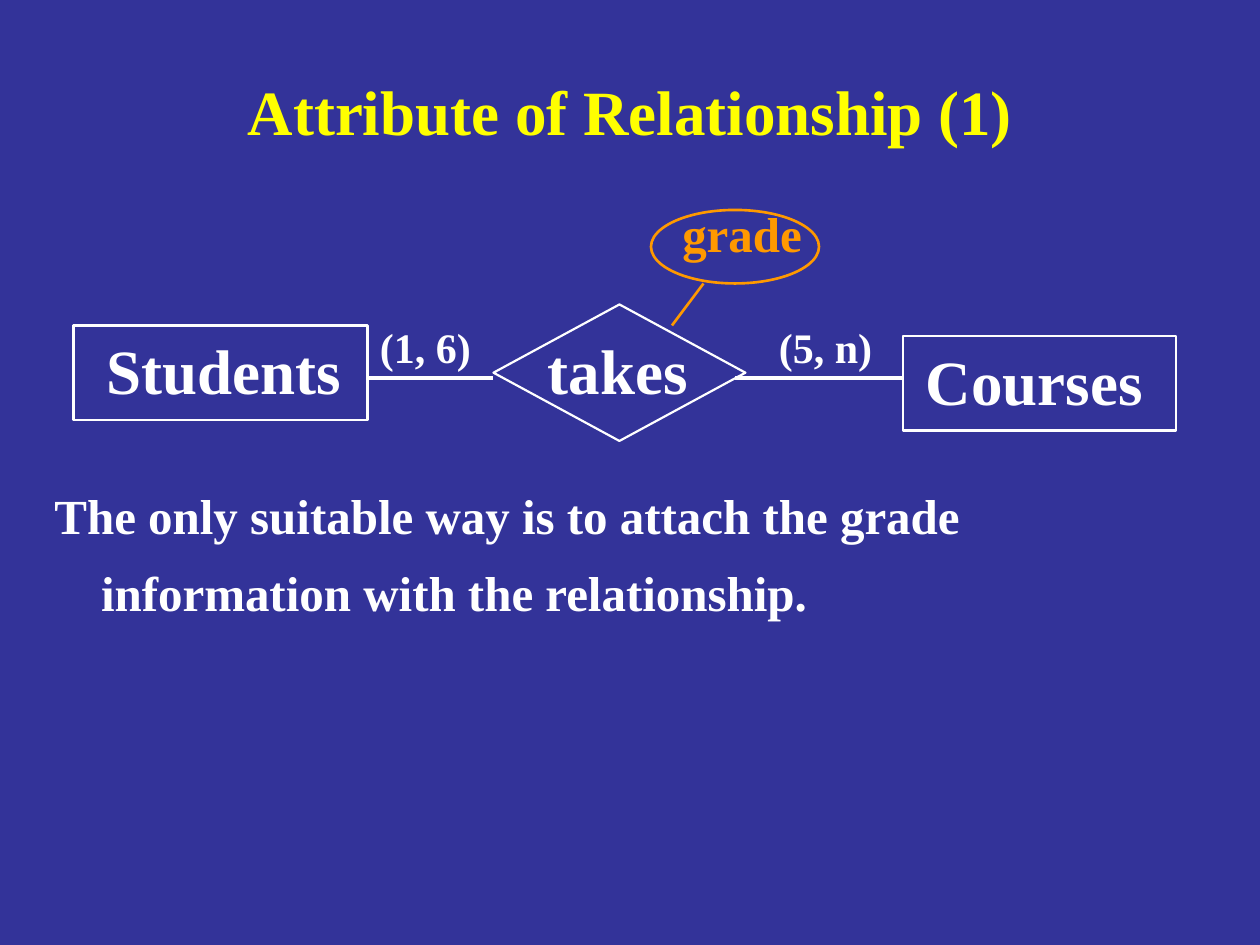
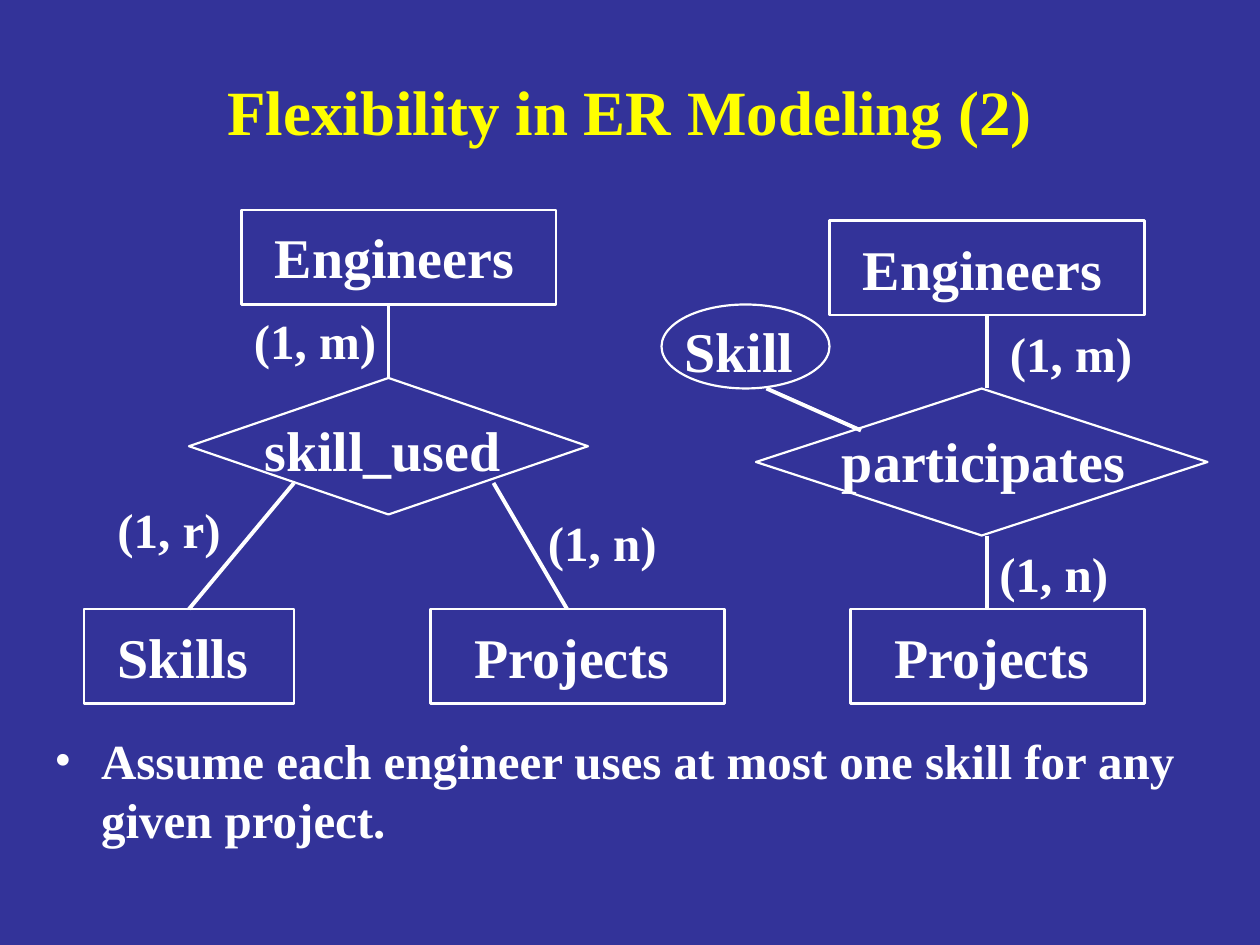
from lxml.etree import SubElement
from pptx import Presentation
from pptx.dml.color import RGBColor
from pptx.enum.shapes import MSO_CONNECTOR, MSO_SHAPE
from pptx.enum.text import MSO_ANCHOR, MSO_AUTO_SIZE, PP_ALIGN
from pptx.oxml.ns import qn
from pptx.util import Inches, Pt

# Shared look
FONT = "Times New Roman"
BLUE, YELLOW, WHITE, ORANGE = "333399", "FFFF00", "FFFFFF", "FF9900"
OUTLINE, LINK = 1.25, 2.25

# Grid of 120 columns by 90 rows
WIDTH, HEIGHT = Inches(10), Inches(7.5)
COLUMNS, ROWS = 120, 90


def rgb(color):
    return RGBColor.from_string(color)


def x(column):
    return round(WIDTH * column / COLUMNS)


def y(row):
    return round(HEIGHT * row / ROWS)


def place(left, top, width, height):
    return x(left), y(top), x(width), y(height)


def add_text(s, text, box, size=28, color=WHITE, align=PP_ALIGN.LEFT,
             anchor=MSO_ANCHOR.TOP, wrap=True, spacing=None, hanging=False, bullet=None):
    tf = s.shapes.add_textbox(*place(*box)).text_frame
    tf.word_wrap = wrap
    tf.auto_size = MSO_AUTO_SIZE.NONE if wrap else MSO_AUTO_SIZE.SHAPE_TO_FIT_TEXT
    tf.vertical_anchor = anchor
    p = tf.paragraphs[0]
    p.alignment = align
    if spacing:
        p.line_spacing = spacing
    pPr = p._p.get_or_add_pPr()
    if hanging:
        pPr.set("marL", str(Inches(0.37)))
        pPr.set("indent", str(-Inches(0.37)))
    if bullet:
        SubElement(pPr, qn("a:buFont"), typeface=FONT)
        SubElement(pPr, qn("a:buChar"), char=bullet)
    r = p.add_run()
    r.text = text
    r.font.name, r.font.size, r.font.bold = FONT, Pt(size), True
    r.font.color.rgb = rgb(color)


def add_label(s, text, left, top, width, size=28, color=WHITE):
    """One line of text; the box is as high as its line plus the insets."""
    line_rows = (size * 1.2 / 72 + 0.1) * 12
    add_text(s, text, (left, top, width, line_rows), size=size, color=color, wrap=False)


def add_node(s, kind, box, text, label, size=32, color=WHITE, weight=OUTLINE):
    """Outlined ER symbol with its name; label is left, top, width."""
    sp = s.shapes.add_shape(kind, *place(*box))
    sp.shadow.inherit = False
    sp.fill.background()
    sp.line.color.rgb = rgb(color)
    sp.line.width = Pt(weight)
    add_label(s, text, *label, size=size, color=color)


def add_link(s, x1, y1, x2, y2, color=WHITE, weight=LINK):
    cn = s.shapes.add_connector(MSO_CONNECTOR.STRAIGHT, x(x1), y(y1), x(x2), y(y2))
    cn.line.color.rgb = rgb(color)
    cn.line.width = Pt(weight)
    SubElement(cn._element.spPr, qn("a:effectLst"))


def add_slide(prs, title):
    s = prs.slides.add_slide(prs.slide_layouts[6])
    add_text(s, title, (9, 5, 102, 11), size=36, color=YELLOW,
             align=PP_ALIGN.CENTER, anchor=MSO_ANCHOR.MIDDLE)
    return s


def add_body(s, text, top, **fmt):
    add_text(s, text, (4, top, 112, 86 - top), hanging=True, **fmt)


def attribute_slide(prs):
    s = add_slide(prs, "Attribute of Relationship (1)")
    add_body(s, "The only suitable way is to attach the grade information "
                "with the relationship.", 44, spacing=1.3)

    # Entities and their relationship
    for kind, box, text, label in (
        (MSO_SHAPE.DIAMOND, (47, 29, 24, 13), "takes", (51, 31, 16)),
        (MSO_SHAPE.RECTANGLE, (7, 31, 28, 9), "Students", (9, 31, 25)),
        (MSO_SHAPE.RECTANGLE, (86, 32, 26, 9), "Courses", (87, 32, 23.3)),
    ):
        add_node(s, kind, box, text, label, size=36)
    add_link(s, 35, 36, 47, 36)
    add_link(s, 70, 36, 86, 36)
    add_label(s, "(1, 6)", 35, 30, 11.3, size=24)
    add_label(s, "(5, n)", 73, 30, 11.5, size=24)

    # Attribute of the relationship
    add_node(s, MSO_SHAPE.OVAL, (62, 20, 16, 7), "grade", (63.8, 18.8, 14),
             size=28, color=ORANGE, weight=1.5)
    add_link(s, 67, 27, 64, 31, color=ORANGE, weight=1.5)


def flexibility_slide(prs):
    s = add_slide(prs, "Flexibility in ER Modeling (2)")
    add_body(s, "Assume each engineer uses at most one skill for any given project.",
             69, bullet="•")

    # Entities, relationships and the Skill attribute
    for kind, box, text, label in (
        (MSO_SHAPE.RECTANGLE, (23, 20, 30, 9), "Engineers", (25, 20.6, 25.5)),
        (MSO_SHAPE.DIAMOND, (18, 36, 38, 13), "skill_used", (24, 39, 25.2)),
        (MSO_SHAPE.RECTANGLE, (8, 58, 20, 9), "Skills", (10, 58.7, 16.2)),
        (MSO_SHAPE.RECTANGLE, (41, 58, 28, 9), "Projects", (44, 58.7, 21.2)),
        (MSO_SHAPE.RECTANGLE, (79, 21, 30, 9), "Engineers", (81, 21.7, 25.5)),
        (MSO_SHAPE.OVAL, (63, 29, 16, 8), "Skill", (64, 29.6, 13)),
        (MSO_SHAPE.DIAMOND, (72, 37, 43, 14), "participates", (79, 40, 29.6)),
        (MSO_SHAPE.RECTANGLE, (81, 58, 28, 9), "Projects", (84, 58.7, 21.2)),
    ):
        add_node(s, kind, box, text, label)

    # Links
    for ends in ((37, 36, 37, 29), (18, 58, 28, 46), (47, 46, 54, 58),
                 (94, 30, 94, 37), (94, 51, 94, 58), (73, 37, 82, 41)):
        add_link(s, *ends)

    # Cardinalities
    for text, left, top, width in (
        ("(1, m)", 23, 29, 14.2), ("(1, r)", 10, 47, 12.3), ("(1, n)", 51, 48.2, 12.9),
        ("(1, m)", 95, 30.2, 14.2), ("(1, n)", 94, 51.2, 12.9),
    ):
        add_label(s, text, left, top, width)


def main():
    prs = Presentation()
    prs.slide_width, prs.slide_height = WIDTH, HEIGHT
    fill = prs.slide_master.background.fill
    fill.solid()
    fill.fore_color.rgb = rgb(BLUE)
    attribute_slide(prs)
    flexibility_slide(prs)
    prs.save("out.pptx")


if __name__ == "__main__":
    main()
